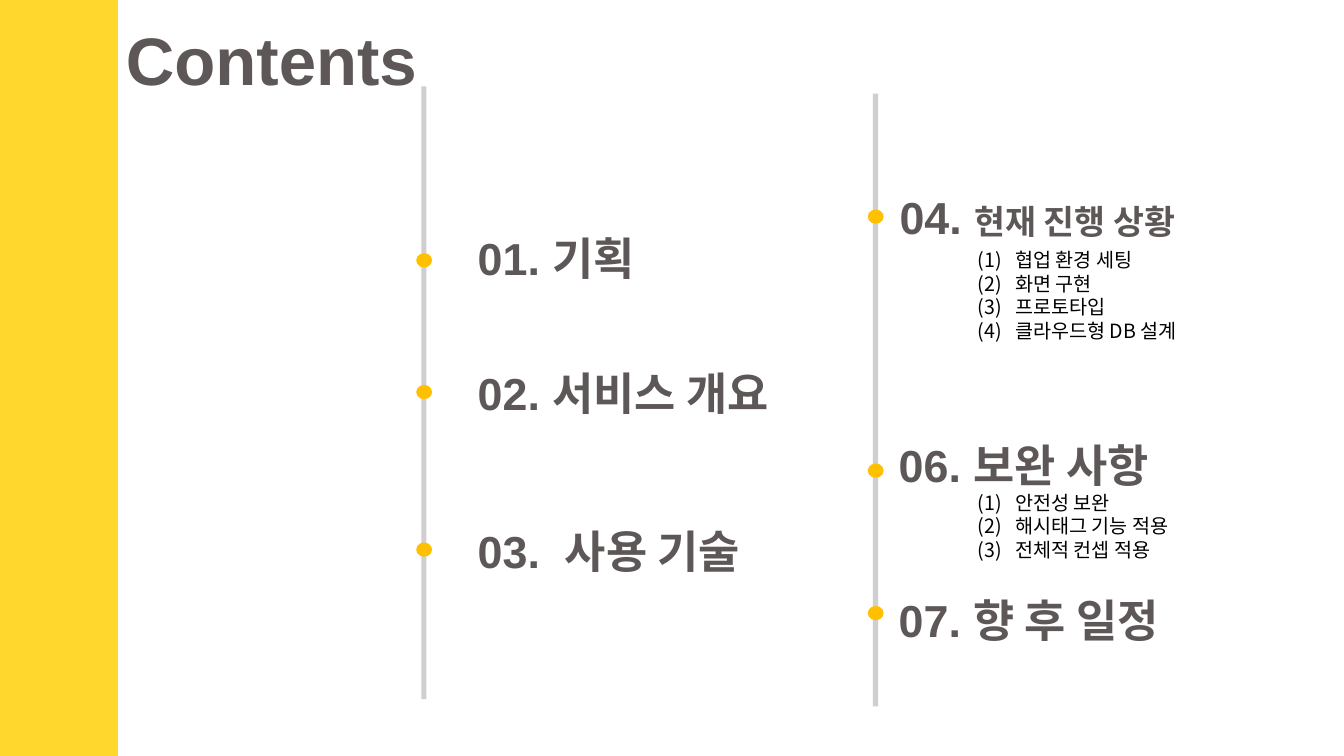
from lxml import etree
from pptx import Presentation
from pptx.dml.color import RGBColor
from pptx.enum.shapes import MSO_SHAPE
from pptx.enum.text import MSO_ANCHOR, MSO_AUTO_SIZE, PP_ALIGN
from pptx.oxml.ns import qn
from pptx.util import Cm, Pt

YELLOW = RGBColor(0xFF, 0xD7, 0x2D)
AMBER = RGBColor(0xFF, 0xC0, 0x00)
RAIL_GREY = RGBColor(0xD0, 0xCE, 0xCE)
TEXT_GREY = RGBColor(0x5D, 0x57, 0x57)
BLACK = RGBColor(0, 0, 0)
RECT, OVAL = MSO_SHAPE.RECTANGLE, MSO_SHAPE.OVAL
TOP, LEFT, NO_FIT = MSO_ANCHOR.TOP, PP_ALIGN.LEFT, MSO_AUTO_SIZE.NONE
LATIN, KOREAN = "Arial", "Noto Sans CJK KR"

# Left edge, top edge and dot tops of each timeline, in cm
TIMELINES = [
    (10.49, 2.18, [6.38, 9.7, 13.67]),
    (21.87, 2.36, [5.28, 11.68, 15.27]),
]
# Left, top, number, heading and heading size
HEADINGS = [
    (11.79, 5.69, "01. ", "기획", 32),
    (11.79, 9.09, "02. ", "서비스 개요", 32),
    (11.79, 13.08, "03.  ", "사용 기술", 32),
    (22.42, 4.65, "04. ", "현재 진행 상황", 24),
    (22.4, 10.9, "06. ", "보완 사항", 32),
    (22.4, 14.81, "07. ", "향 후 일정", 32),
]
# Placeholder index, top and items
LISTS = [
    (1, 6.12, ["협업 환경 세팅", "화면 구현", "프로토타입", "클라우드형 DB 설계"]),
    (2, 12.24, ["안전성 보완", "해시태그 기능 적용", "전체적 컨셉 적용"]),
]


def place(sp, left, top, width, height):
    sp.left, sp.top, sp.width, sp.height = Cm(left), Cm(top), Cm(width), Cm(height)
    tf = sp.text_frame
    tf.word_wrap = True
    tf.auto_size = NO_FIT
    tf.vertical_anchor = TOP
    return tf


def format_run(r, size, color, latin, bold=False):
    r.font.size, r.font.bold, r.font.name = Pt(size), bold, latin
    r.font.color.rgb = color
    ea = etree.SubElement(r._r.get_or_add_rPr(), qn("a:ea"))
    ea.set("typeface", KOREAN)


def add_block(shapes, kind, left, top, width, height, color):
    sp = shapes.add_shape(kind, Cm(left), Cm(top), Cm(width), Cm(height))
    sp.shadow.inherit = False
    sp.fill.solid()
    sp.fill.fore_color.rgb = color
    sp.line.fill.background()


def add_timeline(slide, left, top, dots):
    group = slide.shapes.add_group_shape()
    add_block(group.shapes, RECT, left + 0.13, top, 0.13, 15.44, RAIL_GREY)
    for dot_top in dots:
        add_block(group.shapes, OVAL, left, dot_top, 0.4, 0.36, AMBER)


def add_heading(slide, left, top, number, heading, size):
    sp = slide.shapes.add_textbox(0, 0, 0, 0)
    p = place(sp, left, top, 9.2, 1.62).paragraphs[0]
    for text, run_size in ((number, 32), (heading, size)):
        r = p.add_run()
        r.text = text
        format_run(r, run_size, TEXT_GREY, LATIN, True)


def fill_title(slide, text):
    tf = place(slide.shapes.title, 2.92, 0.33, 8.86, 2.31)
    tf.text = text
    p = tf.paragraphs[0]
    p.alignment = LEFT
    format_run(p.runs[0], 48, TEXT_GREY, LATIN, True)


def fill_list(slide, idx, top, items):
    tf = place(slide.placeholders[idx], 24.38, top, 8.69, 2.64)
    tf.text = "\n".join(items)
    for p in tf.paragraphs:
        p.space_before = Pt(0)
        p.line_spacing = Pt(16.8)
        pPr = p._p.get_or_add_pPr()
        pPr.set("marL", str(Cm(0.95)))
        pPr.set("indent", str(-Cm(0.95)))
        font = etree.SubElement(pPr, qn("a:buFont"))
        font.set("typeface", KOREAN)
        number = etree.SubElement(pPr, qn("a:buAutoNum"))
        number.set("type", "arabicParenBoth")
        format_run(p.runs[0], 14, BLACK, KOREAN)


def main():
    prs = Presentation()
    prs.slide_width, prs.slide_height = Cm(33.87), Cm(19.05)
    slide = prs.slides.add_slide(prs.slide_layouts[3])

    # Title and side band
    fill_title(slide, "Contents")
    add_block(slide.shapes, RECT, 0, 0, 2.97, 19.05, YELLOW)

    # Timelines, headings and numbered lists
    for timeline in TIMELINES:
        add_timeline(slide, *timeline)
    for heading in HEADINGS:
        add_heading(slide, *heading)
    for numbered in LISTS:
        fill_list(slide, *numbered)

    prs.save("out.pptx")


if __name__ == "__main__":
    main()
